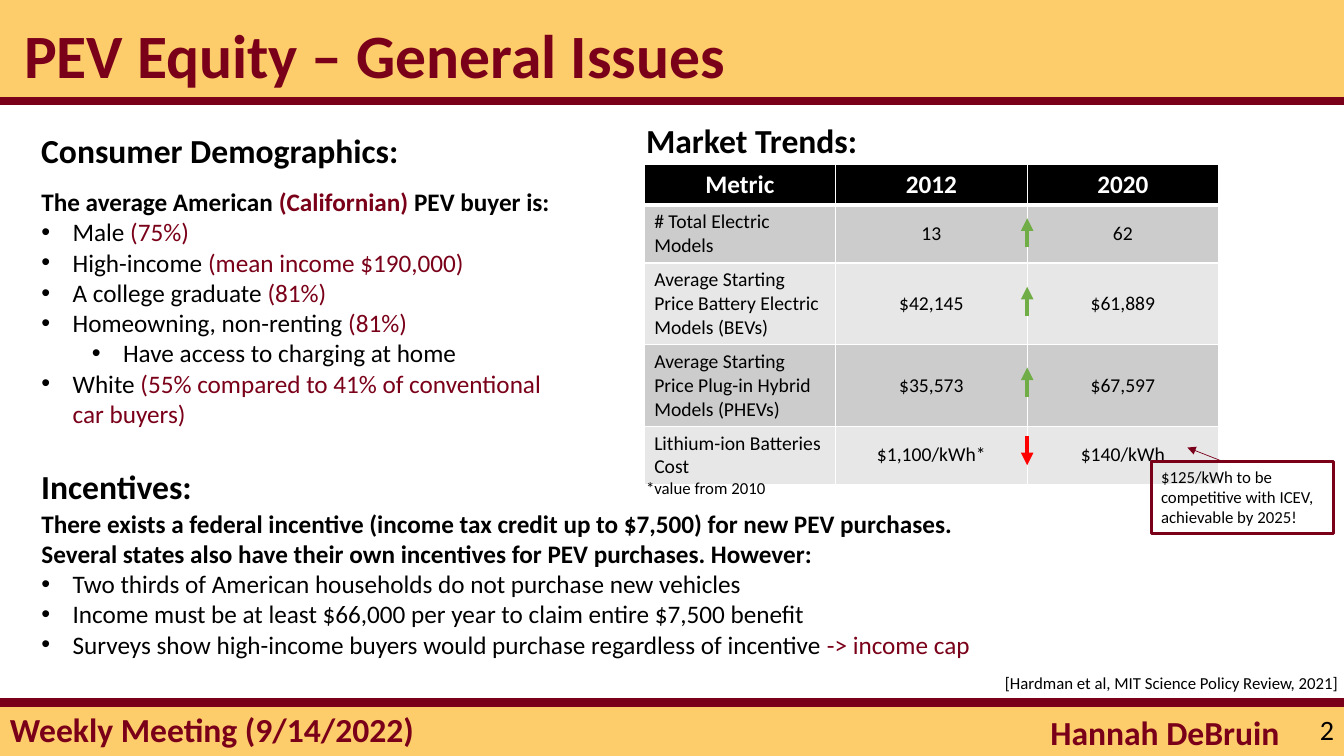
from lxml import etree
from pptx import Presentation
from pptx.dml.color import RGBColor
from pptx.enum.shapes import MSO_CONNECTOR, MSO_SHAPE
from pptx.enum.text import MSO_ANCHOR, MSO_AUTO_SIZE, PP_ALIGN
from pptx.oxml.ns import qn
from pptx.util import Inches, Pt

LEFT, CENTER, RIGHT = PP_ALIGN.LEFT, PP_ALIGN.CENTER, PP_ALIGN.RIGHT
TOP, MIDDLE = MSO_ANCHOR.TOP, MSO_ANCHOR.MIDDLE
FIXED_SIZE = MSO_AUTO_SIZE.NONE
RECTANGLE, STRAIGHT = MSO_SHAPE.RECTANGLE, MSO_CONNECTOR.STRAIGHT

WIDTH, HEIGHT = Inches(13.333), Inches(7.5)
TWO_CONTENT_LAYOUT = 3
FONT = "Calibri"
MAROON, GOLD, BLACK, WHITE = "7A0019", "FDCC6B", "000000", "FFFFFF"
GREEN, RED = "70AD47", "FF0000"
ROW_FILLS = ["CCCCCC", "E7E7E7"]
BULLET_INDENT, LEVEL_INDENT = Inches(0.31), Inches(0.5)

# All positions below are percentages of the slide's width and height.
LEFT_EDGE, RIGHT_EDGE = 2.33, 47.33
HEADER_BOTTOM, FOOTER_TOP = 13.33, 92.93
TABLE_LEFT, TABLE_TOP, COLUMN_WIDTH = 47.93, 21.73, 14.25
ROW_HEIGHTS = [5.33, 7.47, 10.67, 10.67, 7.47]
TREND_LENGTH = 3.87

# Text pieces alternate between black and maroon; the first number is the list level.
DEMOGRAPHICS = [
    (None, ["The average American ", "(Californian)", " PEV buyer is:"]),
    (0, ["Male ", "(75%)"]),
    (0, ["High-income ", "(mean income $190,000)"]),
    (0, ["A college graduate ", "(81%)"]),
    (0, ["Homeowning, non-renting ", "(81%)"]),
    (1, ["Have access to charging at home"]),
    (0, ["White ", "(55% compared to 41% of conventional car buyers)"]),
]
INCENTIVES = [
    (None, ["There exists a federal incentive (income tax credit up to $7,500) for new PEV "
            "purchases. Several states also have their own incentives for PEV purchases. However:"]),
    (0, ["Two thirds of American households do not purchase new vehicles"]),
    (0, ["Income must be at least $66,000 per year to claim entire $7,500 benefit"]),
    (0, ["Surveys show high-income buyers would purchase regardless of incentive ",
         "-> income cap"]),
]
METRICS = [
    ["Metric", "2012", "2020"],
    ["# Total Electric Models", "13", "62"],
    ["Average Starting Price Battery Electric Models (BEVs)", "$42,145", "$61,889"],
    ["Average Starting Price Plug-in Hybrid Models (PHEVs)", "$35,573", "$67,597"],
    ["Lithium-ion Batteries Cost", "$1,100/kWh*", "$140/kWh"],
]
TREND_IS_UP = [True, True, True, False]


def color(hex_string):
    return RGBColor.from_string(hex_string)


def across(share):
    return int(WIDTH * share / 100)


def down(share):
    return int(HEIGHT * share / 100)


def box(left, top, width, height):
    return across(left), down(top), across(width), down(height)


def add_run(paragraph, text, size, ink=BLACK, bold=False):
    run = paragraph.add_run()
    run.text = text
    for name, value in {"name": FONT, "size": Pt(size), "bold": bold}.items():
        setattr(run.font, name, value)
    run.font.color.rgb = color(ink)


def write_lines(frame, lines, size, ink=BLACK, bold=False, align=LEFT, anchor=TOP, spacing=1.0):
    settings = {"word_wrap": True, "auto_size": FIXED_SIZE, "vertical_anchor": anchor}
    for name, value in settings.items():
        setattr(frame, name, value)
    for index, line in enumerate(lines):
        paragraph = frame.add_paragraph() if index else frame.paragraphs[0]
        paragraph.alignment, paragraph.line_spacing = align, spacing
        add_run(paragraph, line, size, ink, bold)


def add_label(slide, place, text, size, **look):
    shape = slide.shapes.add_textbox(*box(*place))
    write_lines(shape.text_frame, [text], size, **look)


def add_band(slide, top, height):
    band = slide.shapes.add_shape(RECTANGLE, *box(0, top, 100, height))
    band.shadow.inherit = False
    band.fill.solid()
    band.fill.fore_color.rgb = color(GOLD)
    band.line.fill.background()


def add_line(slide, start, end, ink, width, arrow=False):
    line = slide.shapes.add_connector(
        STRAIGHT, across(start[0]), down(start[1]), across(end[0]), down(end[1]))
    line.line.color.rgb = color(ink)
    line.line.width = Pt(width)
    if arrow:
        etree.SubElement(line.line._get_or_add_ln(), qn("a:tailEnd"), type="triangle")
    etree.SubElement(line.element.spPr, qn("a:effectLst"))


def bring_forward(placeholder, place):
    names = ("left", "top", "width", "height")
    for name, value in zip(names, box(*place)):
        setattr(placeholder, name, value)
    placeholder.element.getparent().append(placeholder.element)


def fill_list(placeholder, place, items):
    bring_forward(placeholder, place)
    frame = placeholder.text_frame
    frame.auto_size = FIXED_SIZE
    frame.vertical_anchor = TOP
    for index, (level, pieces) in enumerate(items):
        paragraph = frame.add_paragraph() if index else frame.paragraphs[0]
        properties = paragraph._p.get_or_add_pPr()
        if level is None:
            margin, indent = 0, 0
            etree.SubElement(properties, qn("a:buNone"))
        else:
            margin, indent = BULLET_INDENT + level * LEVEL_INDENT, -BULLET_INDENT
            etree.SubElement(properties, qn("a:buFont"), typeface="Arial")
            etree.SubElement(properties, qn("a:buChar"), char="•")
        properties.set("marL", str(margin))
        properties.set("indent", str(indent))
        paragraph.level = level or 0
        paragraph.space_before = Pt(0)
        for number, piece in enumerate(pieces):
            add_run(paragraph, piece, 18, MAROON if number % 2 else BLACK, level is None)


def add_borders(cell, bottom_width):
    properties = cell._tc.get_or_add_tcPr()
    for side, width in {"lnL": 1, "lnR": 1, "lnT": 1, "lnB": bottom_width}.items():
        border = etree.SubElement(properties, qn(f"a:{side}"), w=str(Pt(width)))
        fill = etree.SubElement(border, qn("a:solidFill"))
        etree.SubElement(fill, qn("a:srgbClr"), val=WHITE)


def add_metrics_table(slide):
    row_count, column_count = len(METRICS), len(METRICS[0])
    place = box(TABLE_LEFT, TABLE_TOP, COLUMN_WIDTH * column_count, sum(ROW_HEIGHTS))
    table = slide.shapes.add_table(row_count, column_count, *place).table
    for column in table.columns:
        column.width = across(COLUMN_WIDTH)
    for row, values in enumerate(METRICS):
        table.rows[row].height = down(ROW_HEIGHTS[row])
        is_header = row == 0
        for column, value in enumerate(values):
            cell = table.cell(row, column)
            add_borders(cell, 3 if is_header else 1)
            cell.fill.solid()
            cell.fill.fore_color.rgb = color(BLACK if is_header else ROW_FILLS[(row - 1) % 2])
            cell.vertical_anchor = MIDDLE
            if column and not is_header:
                for side in ("left", "right", "top", "bottom"):
                    setattr(cell, f"margin_{side}", 0)
            paragraph = cell.text_frame.paragraphs[0]
            paragraph.alignment = CENTER if column or is_header else LEFT
            add_run(paragraph, value, 18 if is_header else 14,
                    WHITE if is_header else BLACK, is_header)


def add_trend_arrows(slide):
    left = TABLE_LEFT + 2 * COLUMN_WIDTH
    for row, is_up in enumerate(TREND_IS_UP, start=1):
        middle = TABLE_TOP + sum(ROW_HEIGHTS[:row]) + ROW_HEIGHTS[row] / 2
        reach = TREND_LENGTH / 2 if is_up else -TREND_LENGTH / 2
        add_line(slide, (left, middle + reach), (left, middle - reach),
                 GREEN if is_up else RED, 3, arrow=True)


def add_callout(slide):
    callout = slide.shapes.add_shape(RECTANGLE, *box(85.65, 61.07, 13.58, 9.47))
    callout.shadow.inherit = False
    callout.fill.background()
    callout.line.color.rgb = color(MAROON)
    callout.line.width = Pt(2.25)
    write_lines(callout.text_frame,
                ["$125/kWh to be competitive with ICEV,", "achievable by 2025!"], 12)
    add_line(slide, (90.83, 60.93), (88.35, 59.2), MAROON, 0.5, arrow=True)


def main():
    presentation = Presentation()
    presentation.slide_width, presentation.slide_height = WIDTH, HEIGHT
    slide = presentation.slides.add_slide(presentation.slide_layouts[TWO_CONTENT_LAYOUT])
    title, demographics, incentives = slide.placeholders

    # Header and footer
    add_band(slide, 0, HEADER_BOTTOM)
    add_band(slide, FOOTER_TOP, 100 - FOOTER_TOP)
    bring_forward(title, (1.05, 2.67, 75, 10.67))
    strong = {"ink": MAROON, "bold": True, "spacing": 0.9}
    write_lines(title.text_frame, ["PEV Equity – General Issues"], 44, **strong)
    add_label(slide, (0, 93.6, 50, 6.4), "Weekly Meeting (9/14/2022)", 24,
              anchor=MIDDLE, **strong)
    add_label(slide, (62.5, 93.6, 33.45, 7.07), "Hannah DeBruin", 24,
              align=RIGHT, anchor=MIDDLE, **strong)
    add_label(slide, (77.5, FOOTER_TOP, 22.5, 7.07), "2", 20, align=RIGHT, anchor=MIDDLE)
    for height in (HEADER_BOTTOM, FOOTER_TOP):
        add_line(slide, (0, height), (100, height), MAROON, 6)
    add_label(slide, (74.03, 88.27, 27, 4),
              "[Hardman et al, MIT Science Policy Review, 2021]", 12)

    # Section headings and lists
    for left, top, heading in [(LEFT_EDGE, 16.53, "Consumer Demographics:"),
                               (RIGHT_EDGE, 15.2, "Market Trends:"),
                               (LEFT_EDGE, 60.93, "Incentives:")]:
        add_label(slide, (left, top, 39, 6.67), heading, 24, bold=True)
    fill_list(demographics, (LEFT_EDGE, 24, 39.75, 33.6), DEMOGRAPHICS)
    fill_list(incentives, (LEFT_EDGE, 66.53, 72.53, 21.6), INCENTIVES)

    # Market trends
    add_metrics_table(slide)
    add_label(slide, (RIGHT_EDGE, 62.53, 11.18, 4), "*value from 2010", 12)
    add_callout(slide)
    add_trend_arrows(slide)

    presentation.save("out.pptx")


if __name__ == "__main__":
    main()
